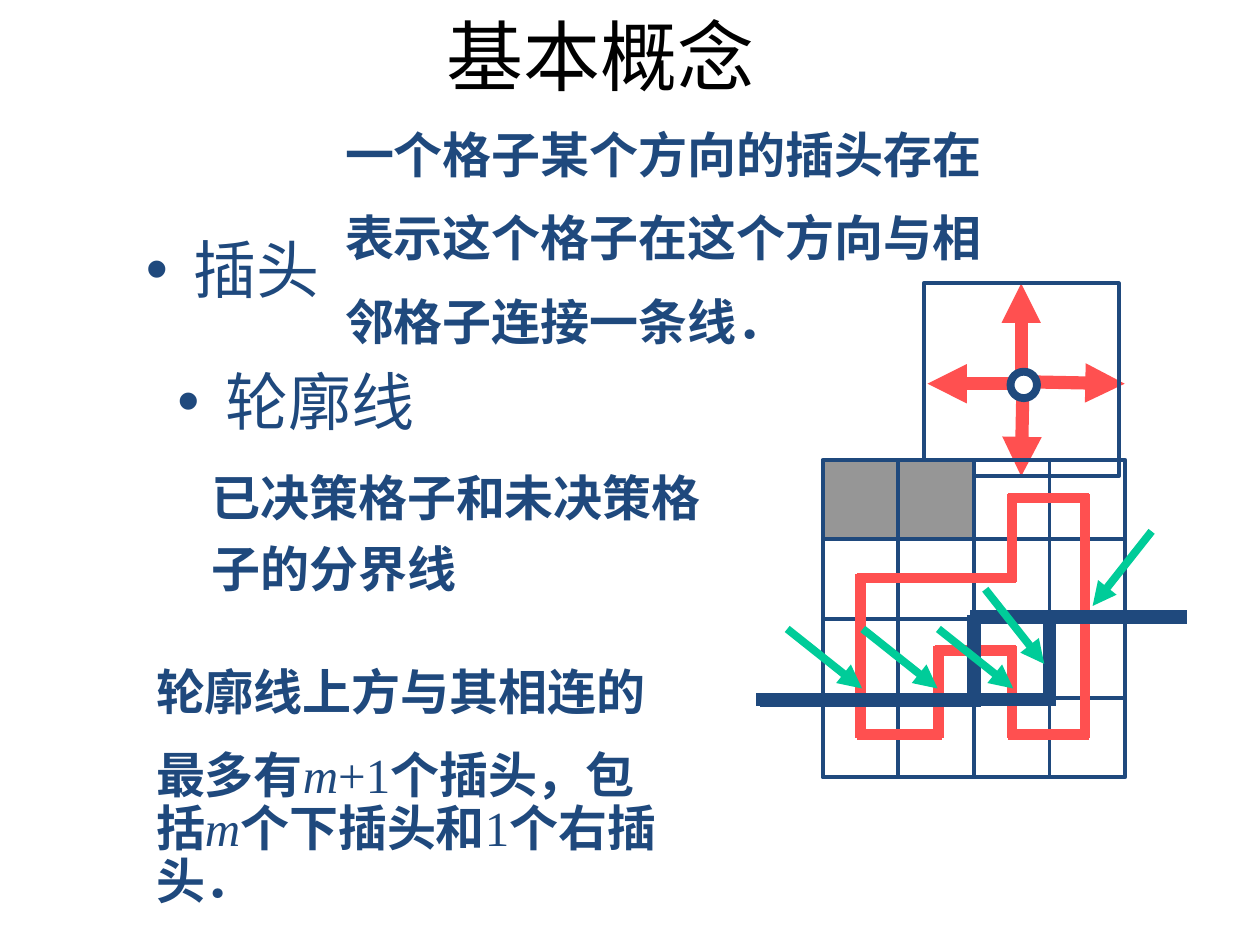
import dataclasses
import itertools

import pptx
import pptx.dml.color
import pptx.enum.shapes
import pptx.enum.text
import pptx.oxml.ns
import pptx.util
from lxml import etree

SHAPE = pptx.enum.shapes.MSO_SHAPE
ALIGN = pptx.enum.text.PP_ALIGN
ANCHOR = pptx.enum.text.MSO_ANCHOR


@dataclasses.dataclass(frozen=True)
class Theme:
    navy: str = "1F497D"
    red: str = "FF5050"
    green: str = "00CC99"
    gray: str = "969696"
    white: str = "FFFFFF"
    black: str = "000000"
    head: str = "Calibri"
    body: str = "Times New Roman"
    title: int = 44
    item: int = 36
    note: int = 28
    thin: float = 2.25
    mid: float = 4.5
    path_line: float = 6
    thick: float = 7.5


@dataclasses.dataclass(frozen=True)
class Grid:
    left: float
    top: float
    wide: float
    high: float

    def spot(self, col, row):
        return (pptx.util.Inches(self.left + col * self.wide),
                pptx.util.Inches(self.top + row * self.high))

    def box(self, col, row, cols=1, rows=1):
        return (*self.spot(col, row), pptx.util.Inches(cols * self.wide),
                pptx.util.Inches(rows * self.high))


T = Theme()
PAGE = Grid(0, 0, 1, 1)
CELL = Grid(7.33, 2.25, 1.55, 1.53)
BOARD = Grid(6.53, 3.65, 0.6, 0.63)


def tint(code):
    return pptx.dml.color.RGBColor.from_string(code)


def add_xml(parent, tag, **attrs):
    return etree.SubElement(parent, pptx.oxml.ns.qn(tag), attrs)


# Text
def add_run(para, text, size, font, color=T.navy, bold=False, italic=False):
    run = para.add_run()
    run.text = text
    run.font.size = pptx.util.Pt(size)
    run.font.name = font
    run.font.bold = bold
    run.font.italic = italic
    run.font.color.rgb = tint(color)


def add_frame(shapes, place):
    frame = shapes.add_textbox(*PAGE.box(*place)).text_frame
    frame.word_wrap = True
    return frame


def add_title(shapes, place, text):
    frame = add_frame(shapes, place)
    frame.vertical_anchor = ANCHOR.MIDDLE
    para = frame.paragraphs[0]
    para.alignment = ALIGN.CENTER
    add_run(para, text, T.title, T.head, T.black)


def add_item(shapes, place, text):
    para = add_frame(shapes, place).paragraphs[0]
    props = para._p.get_or_add_pPr()
    indent = pptx.util.Inches(0.38)
    props.set("marL", str(indent))
    props.set("indent", str(-indent))
    add_xml(add_xml(props, "a:buClr"), "a:srgbClr", val=T.navy)
    add_xml(props, "a:buFont", typeface="Arial")
    add_xml(props, "a:buChar", char="•")
    add_run(para, text, T.item, T.head)


def add_note(shapes, place, paras, space=0.9):
    """Each paragraph is a list of (text, style), style "b", "i" or ""."""
    frame = add_frame(shapes, place)
    for i, runs in enumerate(paras):
        para = frame.add_paragraph() if i else frame.paragraphs[0]
        para.line_spacing = space
        if i:
            para.space_before = pptx.util.Pt(17.5)
        for text, style in runs:
            add_run(para, text, T.note, T.body,
                    bold=style == "b", italic=style == "i")


# Shapes and lines
def add_form(shapes, kind, place, width=T.thin, fill=None):
    form = shapes.add_shape(kind, *place)
    form.shadow.inherit = False
    if fill:
        form.fill.solid()
        form.fill.fore_color.rgb = tint(fill)
    else:
        form.fill.background()
    form.line.color.rgb = tint(T.navy)
    form.line.width = pptx.util.Pt(width)
    return form


def add_line(shapes, grid, start, end, color, width, arrow=False):
    line = shapes.add_connector(pptx.enum.shapes.MSO_CONNECTOR.STRAIGHT,
                                *grid.spot(*start), *grid.spot(*end))
    line.line.color.rgb = tint(color)
    line.line.width = pptx.util.Pt(width)
    if arrow:
        add_xml(line.line._get_or_add_ln(), "a:tailEnd", type="triangle")
    add_xml(line._element.spPr, "a:effectLst")
    return line


# Diagram parts
def add_plugs(shapes):
    """One cell with a plug in each of four directions."""
    ends = [((0.5, 0.48), (0.5, -0.01)), ((0.51, 0.46), (0.5, 1.01)),
            ((0.52, 0.51), (1.03, 0.52)), ((0.52, 0.52), (0.02, 0.52))]
    up, down, *_ = [add_line(shapes, CELL, *pair, T.red, T.thick, True)
                    for pair in ends]
    square = add_form(shapes, SHAPE.RECTANGLE, CELL.box(0, 0))
    up.end_connect(square, 0)
    down.end_connect(square, 2)
    add_form(shapes, SHAPE.OVAL, PAGE.box(8.02, 2.95, 0.21, 0.21),
             T.mid, T.white)


def add_board(shapes):
    """Four by four cells, two of them blocked, with a closed loop."""
    group = shapes.add_group_shape().shapes
    for row, col in itertools.product(range(4), repeat=2):
        fill = T.gray if row == 0 and col < 2 else None
        add_form(group, SHAPE.RECTANGLE, BOARD.box(col, row), fill=fill)

    turns = [(0.5, 1.49), (2.5, 1.49), (2.5, 0.48), (3.47, 0.48),
             (3.47, 3.46), (2.5, 3.46), (2.5, 2.4), (1.53, 2.4),
             (1.53, 3.46), (0.5, 3.46)]
    over = 0.05  # lets the strokes overlap at each corner
    for pair in zip(turns, turns[1:] + turns[:1]):
        (x1, y1), (x2, y2) = sorted(pair)
        dx, dy = (over, 0) if y1 == y2 else (0, over)
        add_line(group, BOARD, (x1 - dx, y1 - dy), (x2 + dx, y2 + dy),
                 T.red, T.path_line)


def add_border(shapes):
    """The border line before and after one more cell is decided."""
    steps = [
        [((-0.83, 3.03), (2.03, 3.03)), ((1.95, 1.98), (4.82, 1.98)),
         ((2, 1.95), (2, 3.11))],
        [((-0.88, 3.02), (3.08, 3.02)), ((2.93, 1.97), (4.75, 1.97)),
         ((3, 1.92), (3, 3.06))]]
    for step in steps:
        group = shapes.add_group_shape().shapes
        for pair in step:
            add_line(group, BOARD, *pair, T.navy, T.thick)


def add_marks(shapes):
    """Arrows that point at the plugs along the border."""
    marks = [((k - 0.47, 2.13), (k + 0.52, 2.88)) for k in range(3)]
    marks += [((2.15, 1.63), (2.93, 2.57)), ((4.35, 0.9), (3.57, 1.84))]
    for pair in marks:
        add_line(shapes, BOARD, *pair, T.green, T.mid, True)


def main():
    deck = pptx.Presentation()
    deck.slide_width = pptx.util.Inches(10)
    deck.slide_height = pptx.util.Inches(7.5)
    shapes = deck.slides.add_slide(deck.slide_layouts[6]).shapes

    add_title(shapes, (0.27, -0.19, 9, 1.25), "基本概念")
    add_item(shapes, (1.06, 1.78, 1.72, 0.75), "插头")
    add_plugs(shapes)
    add_note(shapes, (2.64, 0.99, 5.42, 1.85), [
        [("一个格子某个方向的插头存在", "b")],
        [("表示这个格子在这个方向与相", "b")],
        [("邻格子连接一条线．", "b")]])
    add_item(shapes, (1.31, 2.83, 2.27, 0.75), "轮廓线")
    add_note(shapes, (1.58, 3.57, 4.33, 1.22),
             [[("已决策格子和未决策格子的分界线", "b")]], 1.2)
    add_board(shapes)
    add_border(shapes)
    add_note(shapes, (1.14, 5.25, 4.25, 2.03), [
        [("轮廓线上方与其相连的", "b")],
        [("最多有", "b"), ("m", "i"), ("+1", ""), ("个插头，包括", "b"),
         ("m", "i"), ("个下插头和", "b"), ("1", ""), ("个右插头．", "b")]])
    add_marks(shapes)
    deck.save("out.pptx")


if __name__ == "__main__":
    main()
